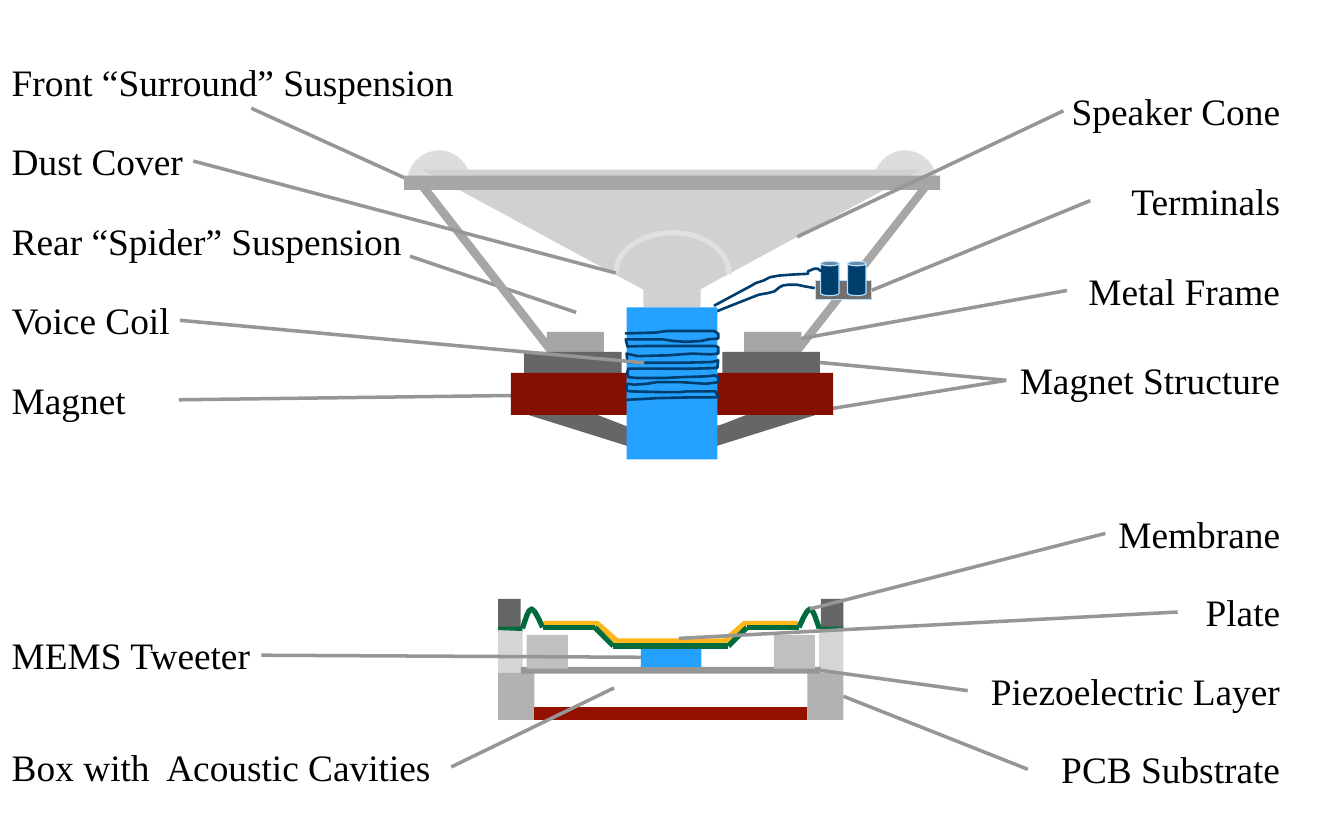
"""Build a slide that compares the parts of a cone speaker and a MEMS tweeter."""
from dataclasses import dataclass

from lxml import etree
from pptx import Presentation
from pptx.dml.color import RGBColor
from pptx.enum import shapes, text
from pptx.oxml import ns
from pptx.util import Pt

TOP, LEFT, BOTTOM, RIGHT = range(4)
SPEAKER_AXIS, TWEETER_AXIS = 576, 575
KIND = shapes.MSO_SHAPE


@dataclass(frozen=True)
class Theme:
    font: str = "Times New Roman"
    label_size: float = 32
    leader_width: float = 3
    wire_width: float = 2.25
    membrane_width: float = 4.5
    rim_width: float = 1
    ink: str = "000000"
    leader: str = "969696"
    surround: str = "DDDDDD"
    cone: str = "D1D1D1"
    dust_cover: str = "E0E0E0"
    frame: str = "A6A6A6"
    iron: str = "666666"
    magnet: str = "850F00"
    base: str = "941100"
    terminal: str = "707070"
    wire: str = "003E6E"
    rim: str = "B6E0FF"
    blue: str = "25A1FF"
    post: str = "D5D5D5"
    substrate: str = "B2B2B2"
    block: str = "C0C0C0"
    plate: str = "FFB61A"
    membrane: str = "006B3D"


THEME = Theme()


def paint(shape, fill=None, line=None, width=0):
    shape.shadow.inherit = False
    if fill:
        shape.fill.solid()
        shape.fill.fore_color.rgb = RGBColor.from_string(fill)
    else:
        shape.fill.background()
    if line:
        shape.line.color.rgb = RGBColor.from_string(line)
        shape.line.width = Pt(width)
    else:
        shape.line.fill.background()
    return shape


def add_part(parent, box, fill, kind=KIND.RECTANGLE, line=None, adjust=(), turn=0):
    shape = parent.shapes.add_shape(kind, *map(Pt, box))
    for index, value in enumerate(adjust):
        shape.adjustments[index] = value
    shape.rotation = turn
    return paint(shape, fill, line, THEME.rim_width)


def add_pair(parent, axis, box, fill, **options):
    left, top, width, height = box
    twin = (2 * axis - left - width, top, width, height)
    return [add_part(parent, place, fill, **options) for place in (box, twin)]


def mirror(points, axis):
    return [(2 * axis - x, y) for x, y in points]


def add_outline(parent, points, fill=None, line=None, width=0):
    corners = [(Pt(x), Pt(y)) for x, y in points]
    builder = parent.shapes.build_freeform(*corners[0])
    builder.add_line_segments(corners[1:], close=fill is not None)
    return paint(builder.convert_to_shape(), fill, line, width)


def add_line(parent, start, end, color, width):
    connector = parent.shapes.add_connector(
        shapes.MSO_CONNECTOR.STRAIGHT, *map(Pt, (*start, *end)))
    connector.line.color.rgb = RGBColor.from_string(color)
    connector.line.width = Pt(width)
    etree.SubElement(connector._element.spPr, ns.qn("a:effectLst"))
    return connector


def add_leader(page):
    return add_line(page, (0, 0), (0, 0), THEME.leader, THEME.leader_width)


def attach(leader, start, end):
    if isinstance(start[0], (int, float)):
        leader.begin_x, leader.begin_y = map(Pt, start)
    else:
        leader.begin_connect(*start)
    if isinstance(end[0], (int, float)):
        leader.end_x, leader.end_y = map(Pt, end)
    else:
        leader.end_connect(*end)


def add_labels(page, top, pitch, rows, align):
    """Stack labels at an even pitch and return their boxes."""
    boxes = []
    for index, (words, width, wrap) in enumerate(rows):
        left = 3 if align == text.PP_ALIGN.LEFT else 1104.5 - width
        box = page.shapes.add_textbox(*map(Pt, (left, top + pitch * index, width, 46)))
        frame = box.text_frame
        frame.word_wrap = wrap
        frame.auto_size = text.MSO_AUTO_SIZE.SHAPE_TO_FIT_TEXT
        frame.text = words
        para = frame.paragraphs[0]
        para.alignment = align
        for span in para.runs:
            span.font.name = THEME.font
            span.font.size = Pt(THEME.label_size)
            span.font.color.rgb = RGBColor.from_string(THEME.ink)
        boxes.append(box)
    return boxes


def draw_speaker(page):
    group = page.shapes.add_group_shape()
    add_pair(group, SPEAKER_AXIS, (349.2, 128.9, 54, 54), THEME.surround,
             kind=KIND.CHORD, adjust=(16.4, 114.12), turn=161.4)
    add_outline(group, [(361.4, 145.4), (789.8, 145.4), (575.6, 261.4)], THEME.cone)
    add_outline(group, [
        (468.7, 302.4), (517.7, 302.4), (517.7, 284.4), (468.7, 284.4), (468.7, 290.2),
        (369.4, 162.7), (787, 162.7), (686.9, 290.2), (686.9, 284.4), (637.9, 284.4),
        (637.9, 302.4), (686.9, 302.4), (686.9, 301.7), (795.6, 162.7), (805.7, 162.7),
        (805.7, 150.5), (346.3, 150.5), (346.3, 162.7), (360, 162.7), (468.7, 301.7)],
        THEME.frame)
    add_part(group, (551.5, 246.2, 49, 17.3), THEME.cone)
    poles = add_pair(group, SPEAKER_AXIS, (449.3, 301.7, 83.5, 18), THEME.iron)
    funnel = [(450.7, 355), (540, 383), (540, 366.5), (510.5, 355)]
    for points in (funnel, mirror(funnel, SPEAKER_AXIS)):
        add_outline(group, points, THEME.iron)
    magnets = add_pair(group, SPEAKER_AXIS, (437.8, 319.7, 101.5, 36), THEME.magnet)
    terminal = add_part(group, (699.1, 240.5, 48.2, 16.6), THEME.terminal, line=THEME.rim)
    for left in (703.4, 726.5):
        add_part(group, (left, 223.9, 15.8, 29.5), THEME.wire, kind=KIND.CAN, line=THEME.rim)
    lower_wire = [
        (612, 267.8), (650.2, 252.7), (658, 251.3), (663.8, 249.8), (668.2, 246.2),
        (671, 244.8), (675.4, 244.1), (683.3, 244.1), (689.8, 245.5), (698.4, 247)]
    upper_wire = [
        (612, 262.1), (643, 245.5), (648, 242.6), (654.5, 240.5), (660.2, 237.6),
        (668.2, 236.2), (679, 235.4), (692.6, 234.7), (692.6, 232.6), (697.7, 230.4),
        (701.3, 230.4), (702.7, 231.8), (706.3, 232.6), (709.2, 234), (712.8, 236.9),
        (715.7, 237.6), (717.8, 240.5), (717.1, 241.2)]
    coil = [
        (537.1, 342.7), (551.5, 342), (563, 341.3), (594, 340.6), (615.6, 340.6),
        (613.4, 335.5), (588, 335.5), (583.2, 336.2), (568.8, 336.2), (540.7, 335.5),
        (537.1, 334.8), (537.1, 329.8), (538.6, 329), (543.6, 329.8), (554.4, 329),
        (563, 327.6), (583.9, 327.6), (605, 329), (615.6, 327.6), (615.6, 323.3),
        (612.7, 321.8), (605.5, 322.6), (583.9, 323.3), (570.2, 324), (545, 324),
        (538.6, 323.3), (537.5, 320), (538.6, 316), (593.3, 316.1), (614.9, 315.4),
        (615.6, 308.9), (610.6, 310.3), (583.9, 311), (547.2, 311), (537.8, 310.3),
        (537.1, 303.1), (546.5, 305.3), (571.7, 304.6), (593.3, 303.1), (609, 303.8),
        (615.6, 303.1), (615.6, 297.4), (612.7, 296.6), (553, 296.6), (537.8, 297),
        (536.4, 290.9), (568, 290.9), (577, 292.3), (587.5, 293), (601, 292.3),
        (607, 290.9), (615.6, 290.2), (615.6, 286), (612, 283.7), (571.7, 283.7),
        (561.6, 285.1), (535.7, 285.8)]
    for wire in (lower_wire, upper_wire):
        add_outline(group, wire, line=THEME.wire, width=THEME.wire_width)
    add_part(group, (525.6, 197.3, 101.5, 74.2), THEME.dust_cover,
             kind=KIND.BLOCK_ARC, adjust=(108, 0.52, 0.06))
    add_part(group, (537.1, 263.5, 77.8, 130.3), THEME.blue)
    add_outline(group, coil, line=THEME.wire, width=THEME.wire_width)
    return poles[1], magnets[0], terminal


def draw_tweeter(page):
    group = page.shapes.add_group_shape()
    add_pair(group, TWEETER_AXIS, (427, 536.4, 20.9, 40.3), THEME.post)
    substrates = add_pair(group, TWEETER_AXIS, (427, 576.7, 31, 40.3), THEME.substrate)
    add_part(group, (457.9, 606.2, 234, 10.8), THEME.base)
    layer = add_part(group, (446.4, 571.7, 257, 5.8), THEME.leader)
    add_pair(group, TWEETER_AXIS, (451.4, 544.3, 35.3, 28.8), THEME.block)
    actuator = add_part(group, (549.4, 555.1, 51.8, 16.6), THEME.blue)
    plate = [(527.8, 552.2), (510.5, 536.4), (465.8, 536.4),
             (465.8, 532.1), (512.6, 532.1), (529.9, 547.2)]
    add_outline(group, plate + mirror(plate, TWEETER_AXIS)[::-1], THEME.plate)
    bump = [(447.8, 538.6), (449.9, 532.5), (451.8, 527.1), (453.7, 523.4), (455.8, 522),
            (458.5, 524.5), (461.5, 529.9), (464, 535.3), (465.1, 537.8)]
    rim, shelf, foot = (427, 537.8), (509.8, 537.8), (525.6, 553.7)
    for side in (list, lambda points: mirror(points, TWEETER_AXIS)):
        add_outline(group, side(bump), line=THEME.membrane, width=THEME.membrane_width)
        for ends in ((rim, bump[0]), (bump[-1], shelf), (shelf, foot)):
            add_line(group, *side(ends), THEME.membrane, THEME.membrane_width)
    add_line(group, foot, *mirror([foot], TWEETER_AXIS), THEME.membrane, THEME.membrane_width)
    add_pair(group, TWEETER_AXIS, (427, 513.4, 19.4, 23.8), THEME.iron)
    return substrates[1], layer, actuator


def main():
    deck = Presentation()
    deck.slide_width, deck.slide_height = Pt(1152), Pt(720)
    page = deck.slides.add_slide(deck.slide_layouts[6])
    rear_leaders = [add_leader(page) for _ in range(4)]
    left, right = text.PP_ALIGN.LEFT, text.PP_ALIGN.RIGHT
    front, dust, _, voice, _ = add_labels(page, 46.8, 68.25, [
        ("Front “Surround” Suspension", 424.8, True), ("Dust Cover", 162.7, False),
        ("Rear “Spider” Suspension", 370.8, True), ("Voice Coil", 151.2, False),
        ("Magnet", 113, False)], left)
    cone, terminals, metal, structure = add_labels(page, 72, 77, [
        ("Speaker Cone", 193, True), ("Terminals", 170, True),
        ("Metal Frame", 190, True), ("Magnet Structure", 242, True)], right)
    mems, cavities = add_labels(page, 538.6, 95.8, [
        ("MEMS Tweeter", 221, False), ("Box with  Acoustic Cavities", 383.8, True)], left)
    membrane, plate, piezo, pcb = add_labels(page, 434.2, 67.4, [
        ("Membrane", 157, True), ("Plate", 95, True),
        ("Piezoelectric Layer", 275, True), ("PCB Substrate", 223.5, True)], right)
    pole, magnet, terminal = draw_speaker(page)
    substrate, layer, actuator = draw_tweeter(page)
    rear_ends = [
        ((front, BOTTOM), (369.4, 162.7)), ((153.4, 342.7), (magnet, RIGHT)),
        ((493.9, 267.8), (351.4, 219.6)), ((612, 366.5), (structure, LEFT))]
    for leader, ends in zip(rear_leaders, rear_ends):
        attach(leader, *ends)
    for ends in [
            ((substrate, RIGHT), (pcb, LEFT)), ((581.8, 547.2), (plate, LEFT)),
            ((694.1, 522), (membrane, LEFT)), ((actuator, LEFT), (mems, RIGHT)),
            ((layer, RIGHT), (piezo, LEFT)), ((526.3, 589.7), (cavities, RIGHT)),
            ((686.9, 290.2), (metal, LEFT)), ((dust, RIGHT), (527.8, 234)),
            ((terminal, RIGHT), (terminals, LEFT)), ((pole, RIGHT), (structure, LEFT)),
            ((683.3, 203), (cone, LEFT)), ((voice, RIGHT), (552.2, 311))]:
        attach(add_leader(page), *ends)
    deck.save("out.pptx")


if __name__ == "__main__":
    main()
